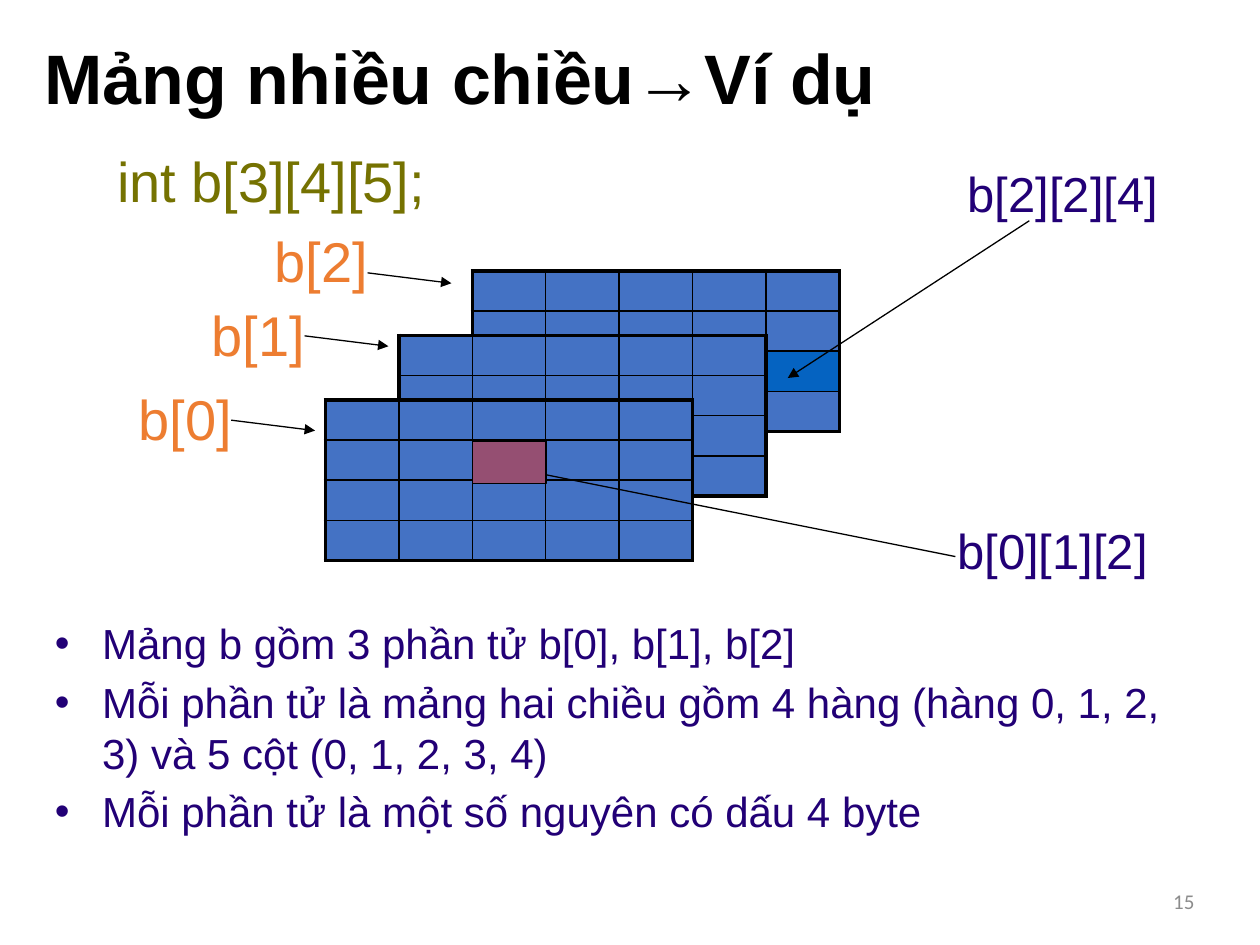
from lxml import etree
from pptx import Presentation
from pptx.dml.color import RGBColor
from pptx.enum.shapes import MSO_CONNECTOR, MSO_SHAPE
from pptx.enum.text import MSO_ANCHOR, MSO_AUTO_SIZE, PP_ALIGN
from pptx.oxml.ns import qn
from pptx.util import Cm, Pt

STRAIGHT = MSO_CONNECTOR.STRAIGHT
RECTANGLE = MSO_SHAPE.RECTANGLE
MIDDLE, TOP = MSO_ANCHOR.MIDDLE, MSO_ANCHOR.TOP
LEFT, RIGHT = PP_ALIGN.LEFT, PP_ALIGN.RIGHT
NO_AUTOFIT = MSO_AUTO_SIZE.NONE

COLORS = {
    "black": "000000",
    "cell": "4472C4",
    "last cell": "0563C1",
    "marked cell": "954F72",
    "declaration": "757201",
    "plane label": "ED7D31",
    "text": "220076",
    "number": "8C8C8C",
}
ROWS, COLUMNS = 4, 5
CELL_WIDTH, CELL_HEIGHT = 1.48, 0.81


def write(shape, box, lines, size, color, font="Arial", bold=False, align=LEFT, anchor=TOP):
    shape.left, shape.top, shape.width, shape.height = [Cm(value) for value in box]
    frame = shape.text_frame
    frame.word_wrap = True
    frame.auto_size = NO_AUTOFIT
    frame.vertical_anchor = anchor
    for index, line in enumerate(lines):
        paragraph = frame.add_paragraph() if index else frame.paragraphs[0]
        paragraph.alignment = align
        if index == 0:
            paragraph.space_before = Pt(0)
        run = paragraph.add_run()
        run.text = line
        run.font.name = font
        run.font.size = Pt(size)
        run.font.bold = bold
        run.font.color.rgb = RGBColor.from_string(COLORS[color])
    return frame


def add_arrow(slide, start, end):
    points = [Cm(value) for value in (*start, *end)]
    arrow = slide.shapes.add_connector(STRAIGHT, *points)
    arrow.line.color.rgb = RGBColor.from_string(COLORS["black"])
    arrow.line.width = Pt(0.75)
    properties = arrow.element.spPr
    etree.SubElement(properties.find(qn("a:ln")), qn("a:tailEnd"), type="triangle")
    etree.SubElement(properties, qn("a:effectLst"))


presentation = Presentation()
presentation.slide_width = Cm(25.4)
presentation.slide_height = Cm(19.05)
slide = presentation.slides.add_slide(presentation.slide_layouts[1])
shapes = slide.shapes

title = write(shapes.title, (0.64, 0.33, 23.7, 2.62), ["Mảng nhiều chiều→Ví dụ"],
              40, "black", bold=True, anchor=MIDDLE)
title.paragraphs[0].line_spacing = 0.9

write(shapes.add_textbox(0, 0, 0, 0), (2.11, 2.83, 12, 1.7), ["int b[3][4][5];"],
      32, "declaration")

for plane in (2, 1, 0):
    left = 6.56 + plane * CELL_WIDTH
    top = 8.06 - plane * 1.3
    table = shapes.add_table(ROWS, COLUMNS, Cm(left), Cm(top),
                             Cm(COLUMNS * CELL_WIDTH), Cm(ROWS * CELL_HEIGHT)).table
    table.first_row = False
    table.horz_banding = False
    for row in range(ROWS):
        for column in range(COLUMNS):
            cell = table.cell(row, column)
            cell.margin_left = cell.margin_right = cell.margin_top = cell.margin_bottom = 0
            outer_sides = {
                "a:lnL": column == 0,
                "a:lnR": column == COLUMNS - 1,
                "a:lnT": row == 0,
                "a:lnB": row == ROWS - 1,
            }
            properties = cell._tc.get_or_add_tcPr()
            for side, is_outer in outer_sides.items():
                border = etree.SubElement(properties, qn(side), w=str(Pt(2.25 if is_outer else 1)))
                border_fill = etree.SubElement(border, qn("a:solidFill"))
                etree.SubElement(border_fill, qn("a:srgbClr"), val=COLORS["black"])
            color = "last cell" if (plane, row, column) == (2, 2, 4) else "cell"
            cell.fill.solid()
            cell.fill.fore_color.rgb = RGBColor.from_string(COLORS[color])

write(shapes.placeholders[1], (0.85, 12.33, 23.5, 6.1), [
    "Mảng b gồm 3 phần tử b[0], b[1], b[2]",
    "Mỗi phần tử là mảng hai chiều gồm 4 hàng (hàng 0, 1, 2, 3) và 5 cột (0, 1, 2, 3, 4)",
    "Mỗi phần tử là một số nguyên có dấu 4 byte",
], 24, "text")

plane_labels = [
    ("b[2]", 5.29, 4.45, 5.5),
    ("b[1]", 4.02, 5.93, 6.77),
    ("b[0]", 2.54, 7.62, 8.47),
]
for label, left, top, arrow_top in plane_labels:
    write(shapes.add_textbox(0, 0, 0, 0), (left, top, 2.75, 1.6), [label], 32, "plane label")
    arrow_left = left + 2.12
    add_arrow(slide, (arrow_left, arrow_top), (arrow_left + 1.69, arrow_top + 0.21))

element_labels = [
    ("b[0][1][2]", (19.05, 10.37), (19.26, 11.22), (10.8, 9.53)),
    ("b[2][2][4]", (19.26, 3.18), (20.75, 4.45), (15.88, 7.62)),
]
for label, position, start, end in element_labels:
    write(shapes.add_textbox(0, 0, 0, 0), (*position, 4.66, 1.45), [label], 28, "text")
    add_arrow(slide, start, end)

marked_cell = shapes.add_shape(RECTANGLE, Cm(9.53), Cm(8.89), Cm(CELL_WIDTH), Cm(0.86))
marked_cell.shadow.inherit = False
marked_cell.fill.solid()
marked_cell.fill.fore_color.rgb = RGBColor.from_string(COLORS["marked cell"])
marked_cell.line.color.rgb = RGBColor.from_string(COLORS["black"])
marked_cell.line.width = Pt(0.75)

write(shapes.add_textbox(0, 0, 0, 0), (17.93, 17.65, 6.4, 1.02), ["15"],
      12, "number", font="Calibri", align=RIGHT, anchor=MIDDLE)

presentation.save("out.pptx")
